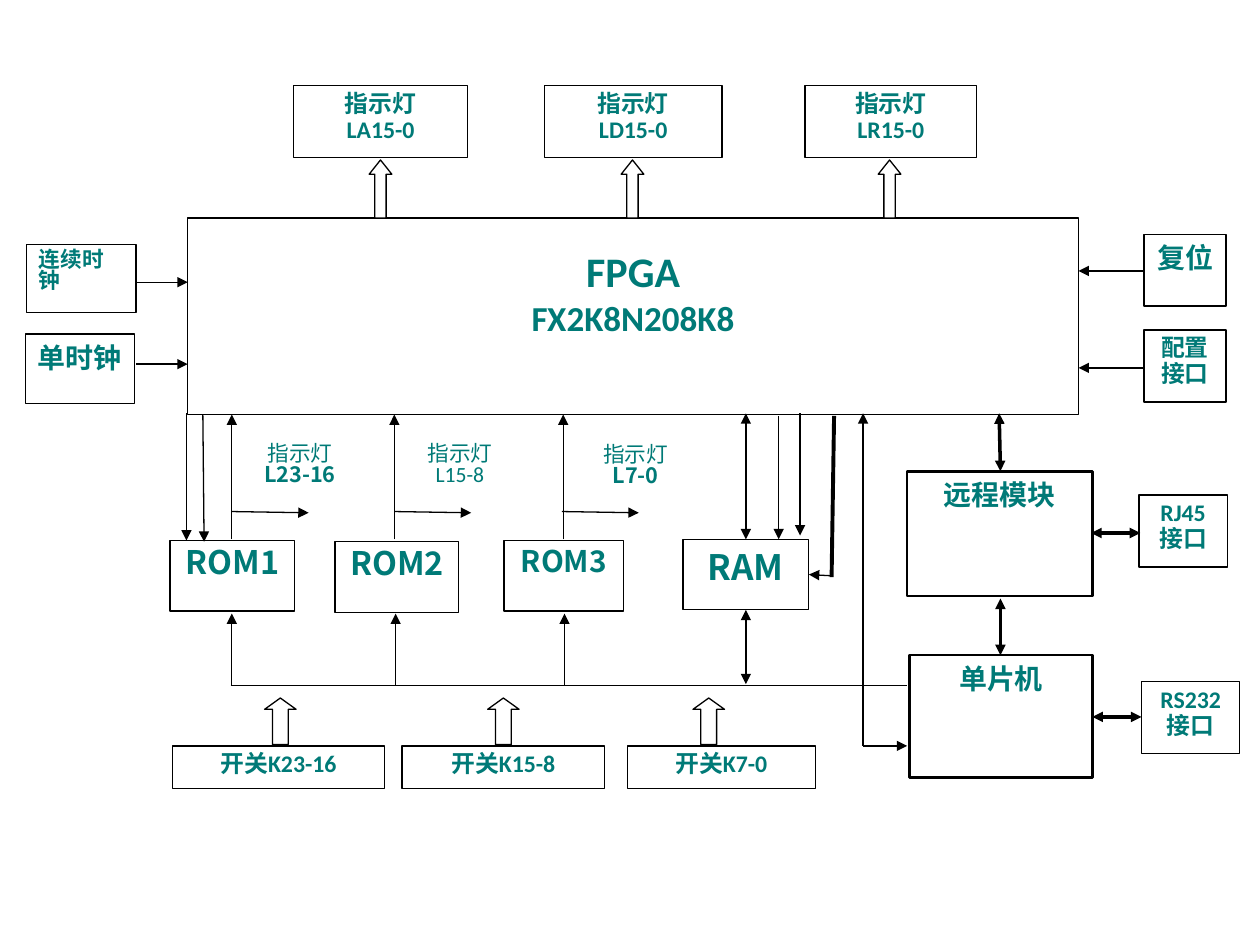
from dataclasses import dataclass

from lxml.etree import SubElement
from pptx import Presentation
from pptx.dml.color import RGBColor
from pptx.enum.shapes import MSO_CONNECTOR, MSO_SHAPE
from pptx.enum.text import MSO_ANCHOR, PP_ALIGN
from pptx.oxml.ns import qn
from pptx.slide import Slide
from pptx.util import Emu, Pt

PX = 9144  # 100 px to the inch
BLACK = RGBColor(0x00, 0x00, 0x00)
WHITE = RGBColor(0xFF, 0xFF, 0xFF)
TEAL = RGBColor(0x00, 0x7A, 0x77)
LATIN = "Calibri"
HAN = "Noto Sans CJK SC"


def px(n: int) -> Emu:
    return Emu(n * PX)


@dataclass
class Box:
    x: int
    y: int
    w: int
    h: int
    text: str
    size: float = 13.6
    gap: float = 0.9  # line spacing
    font: str = LATIN
    line: float = 0.75  # 0 means no border
    bold: bool = True
    align: PP_ALIGN = PP_ALIGN.CENTER
    top: int = 5  # upper inset


@dataclass
class Wire:
    x1: int
    y1: int
    x2: int
    y2: int
    ends: str = "tail"  # arrowheads: "", "head", "tail" or "head tail"
    width: float = 0.75


@dataclass
class Arrow:
    x: int
    y: int
    w: int
    h: int
    tip: float


def add_box(slide: Slide, box: Box):
    shape = slide.shapes.add_shape(
        MSO_SHAPE.RECTANGLE, px(box.x), px(box.y), px(box.w), px(box.h))
    paint(shape, box.line)
    frame = shape.text_frame
    frame.word_wrap = True
    frame.vertical_anchor = MSO_ANCHOR.TOP
    frame.margin_left = frame.margin_right = px(10)
    frame.margin_top, frame.margin_bottom = px(box.top), px(5)
    frame.text = box.text
    for para in frame.paragraphs:
        para.alignment = box.align
        para.line_spacing = box.gap
        for run in para.runs:
            style(run, box.size, box.font, box.bold)
    return frame


def style(run, size: float, font: str, bold: bool) -> None:
    run.font.size = Pt(size)
    run.font.bold = bold
    run.font.color.rgb = TEAL
    run.font.name = font
    props = run.font._element
    for old in props.findall(qn("a:ea")):
        props.remove(old)
    SubElement(props, qn("a:ea")).set("typeface", HAN)


def paint(shape, line: float) -> None:
    shape.shadow.inherit = False
    shape.fill.solid()
    shape.fill.fore_color.rgb = WHITE
    if line:
        shape.line.color.rgb = BLACK
        shape.line.width = Pt(line)
    else:
        shape.line.fill.background()


def add_wire(slide: Slide, wire: Wire) -> None:
    link = slide.shapes.add_connector(
        MSO_CONNECTOR.STRAIGHT,
        px(wire.x1), px(wire.y1), px(wire.x2), px(wire.y2))
    link.line.color.rgb = BLACK
    link.line.width = Pt(wire.width)
    for end in wire.ends.split():
        SubElement(link.line._get_or_add_ln(), qn(f"a:{end}End")).set("type", "triangle")
    SubElement(link._element.spPr, qn("a:effectLst"))


def add_arrow(slide: Slide, arrow: Arrow) -> None:
    shape = slide.shapes.add_shape(
        MSO_SHAPE.UP_ARROW, px(arrow.x), px(arrow.y), px(arrow.w), px(arrow.h))
    paint(shape, 0.75)
    shape.adjustments[0] = 0.5
    shape.adjustments[1] = arrow.tip


BOTH = "head tail"

# Lamp labels between the FPGA and the ROMs; the middle one is plain
LABELS = [
    (Box(192, 348, 92, 54, "指示灯\nL23-16", 12.4, 0.8, line=0, bold=False), True),
    (Box(319, 348, 92, 54, "指示灯\nL15-8", 12.4, 0.8, line=0, bold=False), False),
    (Box(454, 349, 101, 54, "指示灯\nL7-0", 12.4, 0.8, line=0, bold=False), True),
]

BOXES = [
    # Clocks
    Box(21, 194, 87, 54, "连续时钟", 12.4, 0.8, align=PP_ALIGN.LEFT),
    Box(20, 265, 87, 55, "单时钟", 16, 1, align=PP_ALIGN.LEFT),
    # Lamps
    Box(233, 68, 138, 57, "指示灯\nLA15-0"),
    Box(432, 68, 141, 57, "指示灯\nLD15-0"),
    Box(639, 68, 136, 57, "指示灯\nLR15-0"),
    # Memory
    Box(135, 429, 99, 56, "ROM1", 18.5, font=HAN),
    Box(266, 430, 98, 56, "ROM2", 18.5, font=HAN),
    Box(400, 429, 95, 56, "ROM3", 17, font=HAN),
    Box(542, 428, 100, 56, "RAM", 20, 1, font=HAN),
    # Switches
    Box(137, 592, 168, 34, "开关K23-16"),
    Box(319, 592, 161, 34, "开关K15-8"),
    Box(498, 592, 149, 34, "开关K7-0"),
    # Modules and ports
    Box(720, 374, 147, 99, "远程模块", 16, 1, line=1.5),
    Box(722, 520, 145, 97, "单片机", 16, 1, line=1.5),
    Box(908, 186, 65, 57, "复位", 16, 1),
    Box(908, 262, 65, 57, "配置\n接口"),
    Box(904, 393, 70, 57, "RJ45\n接口"),
    Box(906, 541, 78, 57, "RS232\n接口"),
]

WIRES = [
    # Clocks, reset and setup into the FPGA
    *(Wire(108, y, 149, y) for y in (224, 289)),
    *(Wire(908, y, 856, y) for y in (215, 292)),
    # ROMs: up to the FPGA, out to the lamps, in from the bus
    *(Wire(x, 428, x, 329) for x in (184, 313, 447)),
    *(Wire(x, 406, x + 61, 407) for x in (184, 313, 446)),
    *(Wire(x, 544, x, 487) for x in (184, 314, 448)),
    # Control lines
    Wire(148, 328, 148, 429),
    Wire(161, 329, 162, 430),
    Wire(618, 330, 618, 428),
    Wire(635, 328, 635, 425),
    Wire(662, 330, 660, 458, "", 2.25),
    Wire(660, 457, 642, 456),
    # RAM and shared bus
    Wire(592, 428, 592, 328, BOTH),
    Wire(592, 543, 592, 484, BOTH),
    Wire(183, 544, 720, 544, ""),
    # Module links
    Wire(794, 374, 793, 328, BOTH, 2),
    Wire(794, 520, 794, 475, BOTH, 2),
    Wire(905, 423, 866, 423, BOTH, 2),
    Wire(906, 569, 867, 569, BOTH, 2),
    Wire(720, 592, 685, 592, "head", 1.5),
    Wire(685, 592, 685, 328, "tail", 1.5),
]

ARROWS = [
    *(Arrow(x, 127, 18, 46, 0.63) for x in (293, 493, 697)),
    *(Arrow(x, 554, 25, 37, 0.36) for x in (210, 387, 550)),
]


def main() -> None:
    deck = Presentation()
    deck.slide_width, deck.slide_height = px(1000), px(750)
    slide = deck.slides.add_slide(deck.slide_layouts[6])

    for label, strong in LABELS:
        frame = add_box(slide, label)
        if strong:
            style(frame.paragraphs[1].runs[0], label.size, HAN, True)

    # Main chip, with its name larger than its model
    chip = Box(149, 173, 707, 156, "FPGA\nFX2K8N208K8", 20, 1, top=22)
    title = add_box(slide, chip).paragraphs[0]
    title.runs[0].font.size = Pt(24)

    for box in BOXES:
        add_box(slide, box)
    for wire in WIRES:
        add_wire(slide, wire)
    for arrow in ARROWS:
        add_arrow(slide, arrow)
    deck.save("out.pptx")


if __name__ == "__main__":
    main()
